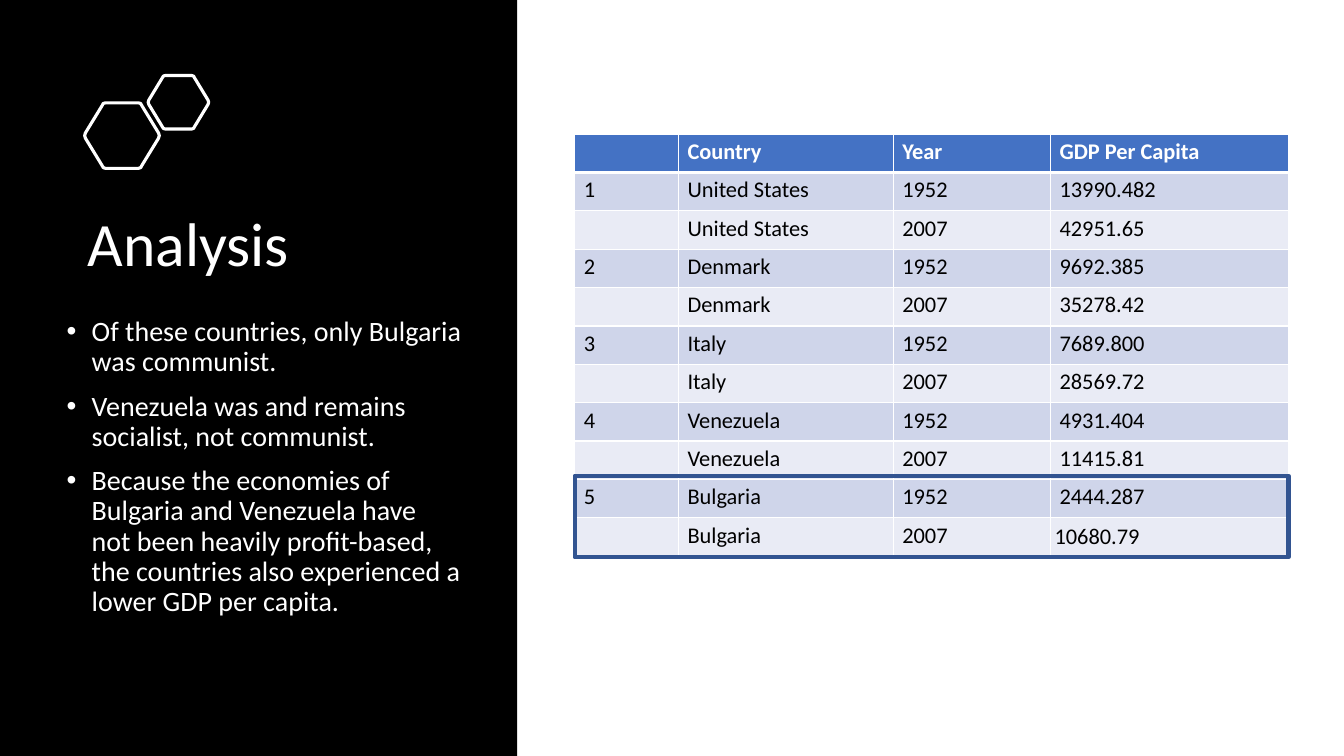
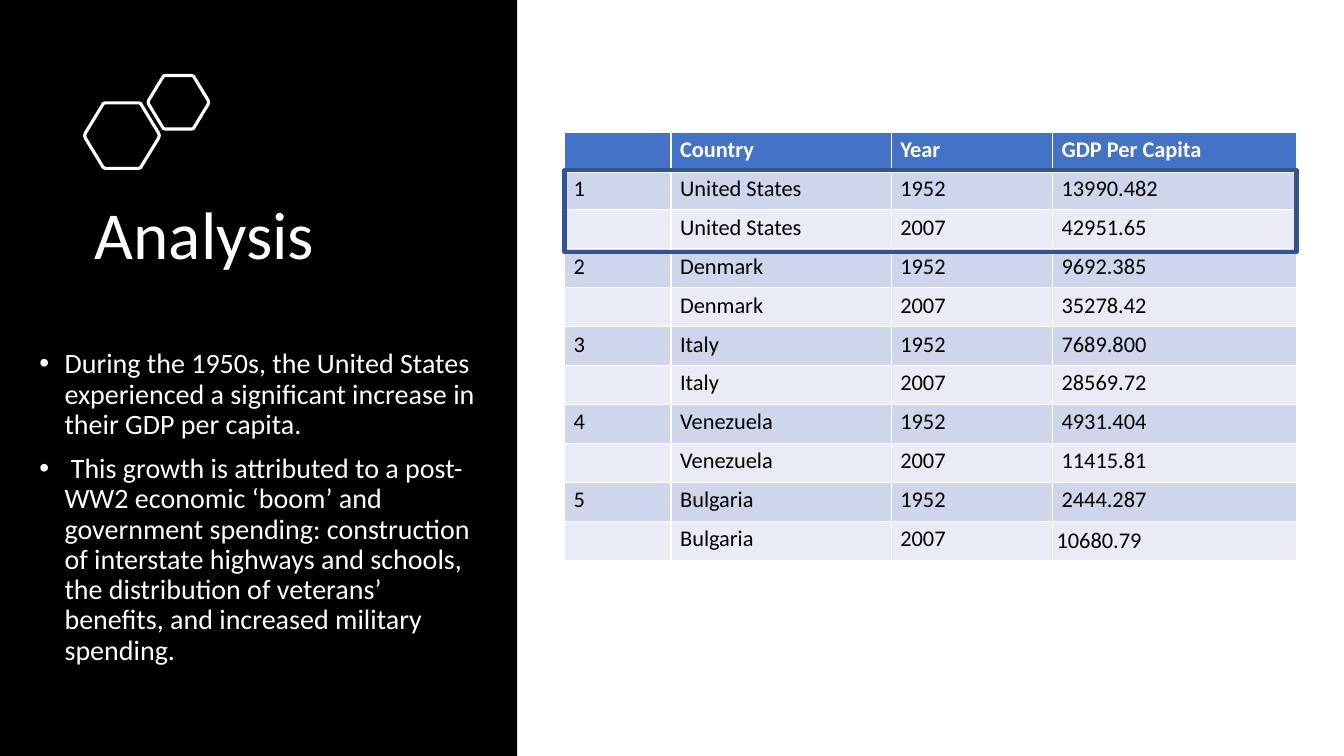
"""Build two analysis slides on GDP per capita: a dark text panel beside a country table."""
from lxml.etree import SubElement
from pptx import Presentation
from pptx.dml.color import RGBColor
from pptx.enum.shapes import MSO_SHAPE
from pptx.enum.text import MSO_ANCHOR, MSO_AUTO_SIZE, PP_ALIGN
from pptx.oxml.ns import qn
from pptx.util import Inches, Pt

THEME = {
    "font": "Calibri", "body": 20, "cell": 16,
    "panel": "000000", "light": "FFFFFF", "dark": "000000",
    "header": "4472C4", "bands": ("CFD5EA", "E9EBF5"), "mark": "325491",
}
WIDTH, HEIGHT = 13.33, 7.5
PANEL_WIDTH = 5.13
HEXAGONS = [(0.84, 1.02, 0.74, 0.65), (1.47, 0.75, 0.6, 0.53)]
HEX_QUARTER = [(0, 0.5), (0.01, 0.46), (0.23, 0.05), (0.25, 0.01), (0.28, 0)]

HEADER = ("", "Country", "Year", "GDP Per Capita")
COLUMNS = (1.03, 2.13, 1.56, 2.36)
YEARS = ("1952", "2007")
GDP = [
    ("United States", "13990.482", "42951.65"),
    ("Denmark", "9692.385", "35278.42"),
    ("Italy", "7689.800", "28569.72"),
    ("Venezuela", "4931.404", "11415.81"),
    ("Bulgaria", "2444.287", "10680.79"),
]
MARGINS = {"margin_left": 0.09, "margin_right": 0.09, "margin_top": 0.04, "margin_bottom": 0.04}
TIGHT = {"margin_left": 0.04, "margin_right": 0.04, "margin_top": 0.03, "margin_bottom": 0.03}

SLIDES = [
    {
        "title": "Analysis", "title_size": 44, "title_anchor": MSO_ANCHOR.BOTTOM,
        "title_at": (0.77, 1.77, 3.89, 1.06), "body_at": (0.56, 3.1, 4.12, 1.37),
        "table_at": (5.7, 1.33, 7.08, 4.19), "mark_top": 4.72,
        "points": [
            "Of these countries, only Bulgaria was communist.",
            "Venezuela was and remains socialist, not communist.",
            "Because the economies of Bulgaria and Venezuela have not been heavily "
            "profit-based, the countries also experienced a lower GDP per capita.",
        ],
    },
    {
        "title": "Analysis", "title_size": 48, "title_anchor": MSO_ANCHOR.TOP,
        "title_at": (0.84, 1.95, 3.92, 1.6), "body_at": (0.29, 3.42, 4.56, 3.05),
        "table_at": (5.6, 1.31, 7.26, 4.25), "mark_top": 1.69,
        "points": [
            "During the 1950s, the United States experienced a significant increase "
            "in their GDP per capita.",
            " This growth is attributed to a post-WW2 economic ‘boom’ and government "
            "spending: construction of interstate highways and schools, the distribution "
            "of veterans’ benefits, and increased military spending.",
        ],
    },
]
MARK_HEIGHT = 0.81


def rgb(name):
    return RGBColor.from_string(THEME.get(name, name))


def place(sp, at):
    for name, value in zip(("left", "top", "width", "height"), at):
        setattr(sp, name, Inches(value))


def write(p, text, size, color, bold=False):
    r = p.add_run()
    r.text = text
    for name, value in {"name": THEME["font"], "size": Pt(size), "bold": bold}.items():
        setattr(r.font, name, value)
    r.font.color.rgb = rgb(color)


def outline(sp, color, width):
    sp.shadow.inherit = False
    sp.fill.background()
    sp.line.color.rgb = rgb(color)
    sp.line.width = Pt(width)


def add_panel(s):
    sp = s.shapes.add_shape(MSO_SHAPE.RECTANGLE, 0, 0, Inches(PANEL_WIDTH), Inches(HEIGHT))
    sp.shadow.inherit = False
    sp.fill.solid()
    sp.fill.fore_color.rgb = rgb("panel")
    sp.line.fill.background()
    s.shapes.title.element.addprevious(sp.element)


def add_hexagon(s, left, top, width, height):
    upper = HEX_QUARTER + [(1 - x, y) for x, y in reversed(HEX_QUARTER)]
    ring = upper + [(x, 1 - y) for x, y in reversed(upper[1:-1])]
    corners = [(Inches(left + x * width), Inches(top + y * height)) for x, y in ring]
    builder = s.shapes.build_freeform(*corners[0])
    builder.add_line_segments(corners[1:], close=True)
    outline(builder.convert_to_shape(), "light", 2.25)


def fill_frame(sp, at, anchor):
    place(sp, at)
    tf = sp.text_frame
    tf.word_wrap = True
    tf.auto_size = MSO_AUTO_SIZE.NONE
    tf.vertical_anchor = anchor
    return tf


def add_title(s, spec_):
    tf = fill_frame(s.shapes.title, spec_["title_at"], spec_["title_anchor"])
    p = tf.paragraphs[0]
    p.alignment, p.line_spacing = PP_ALIGN.LEFT, 0.9
    write(p, spec_["title"], spec_["title_size"], "light")


def add_points(s, at, points):
    tf = fill_frame(s.placeholders[1], at, MSO_ANCHOR.TOP)
    for i, text in enumerate(points):
        p = tf.add_paragraph() if i else tf.paragraphs[0]
        p.line_spacing, p.space_before = 0.9, Pt(10 if i else 0)
        pPr = p._p.get_or_add_pPr()
        pPr.set("marL", str(Inches(0.25)))
        pPr.set("indent", str(-Inches(0.25)))
        SubElement(pPr, qn("a:buFont"), typeface="Arial")
        SubElement(pPr, qn("a:buChar"), char="•")
        write(p, text, THEME["body"], "light")


def border(cell, row):
    tcPr = cell._tc.get_or_add_tcPr()
    thick = {0: "B", 1: "T"}.get(row)
    for side in "LRTB":
        ln = SubElement(tcPr, qn(f"a:ln{side}"), w=str(Pt(3 if side == thick else 1)))
        fill = SubElement(ln, qn("a:solidFill"))
        SubElement(fill, qn("a:srgbClr"), val=THEME["light"])


def add_gdp_table(s, at):
    rows = [HEADER] + [
        ("" if k else str(rank), country, year, values[k])
        for rank, (country, *values) in enumerate(GDP, 1)
        for k, year in enumerate(YEARS)
    ]
    left, top, width, height = at
    frame = s.shapes.add_table(len(rows), len(HEADER), *map(Inches, at))
    table = frame.table
    for column, share in zip(table.columns, COLUMNS):
        column.width = Inches(width * share / sum(COLUMNS))
    for i, values in enumerate(rows):
        table.rows[i].height = Inches(height / len(rows))
        for j, text in enumerate(values):
            cell = table.cell(i, j)
            last = (i, j) == (len(rows) - 1, len(HEADER) - 1)
            for name, value in (TIGHT if last else MARGINS).items():
                setattr(cell, name, Inches(value))
            cell.vertical_anchor = MSO_ANCHOR.MIDDLE if last else MSO_ANCHOR.TOP
            border(cell, i)
            cell.fill.solid()
            cell.fill.fore_color.rgb = rgb(THEME["bands"][(i - 1) % 2] if i else "header")
            p = cell.text_frame.paragraphs[0]
            if text:
                write(p, text, THEME["cell"], "dark" if i else "light", bold=not i)
            else:
                SubElement(p._p, qn("a:endParaRPr"), sz=str(THEME["cell"] * 100))


def add_mark(s, left, top, width):
    sp = s.shapes.add_shape(MSO_SHAPE.RECTANGLE, *map(Inches, (left, top, width, MARK_HEIGHT)))
    outline(sp, "mark", 3)


def main():
    prs = Presentation()
    prs.slide_width, prs.slide_height = Inches(WIDTH), Inches(HEIGHT)
    for content in SLIDES:
        s = prs.slides.add_slide(prs.slide_layouts[1])
        add_panel(s)
        add_title(s, content)
        add_points(s, content["body_at"], content["points"])
        for at in HEXAGONS:
            add_hexagon(s, *at)
        add_gdp_table(s, content["table_at"])
        add_mark(s, content["table_at"][0], content["mark_top"], content["table_at"][2])
    prs.save("out.pptx")


if __name__ == "__main__":
    main()
